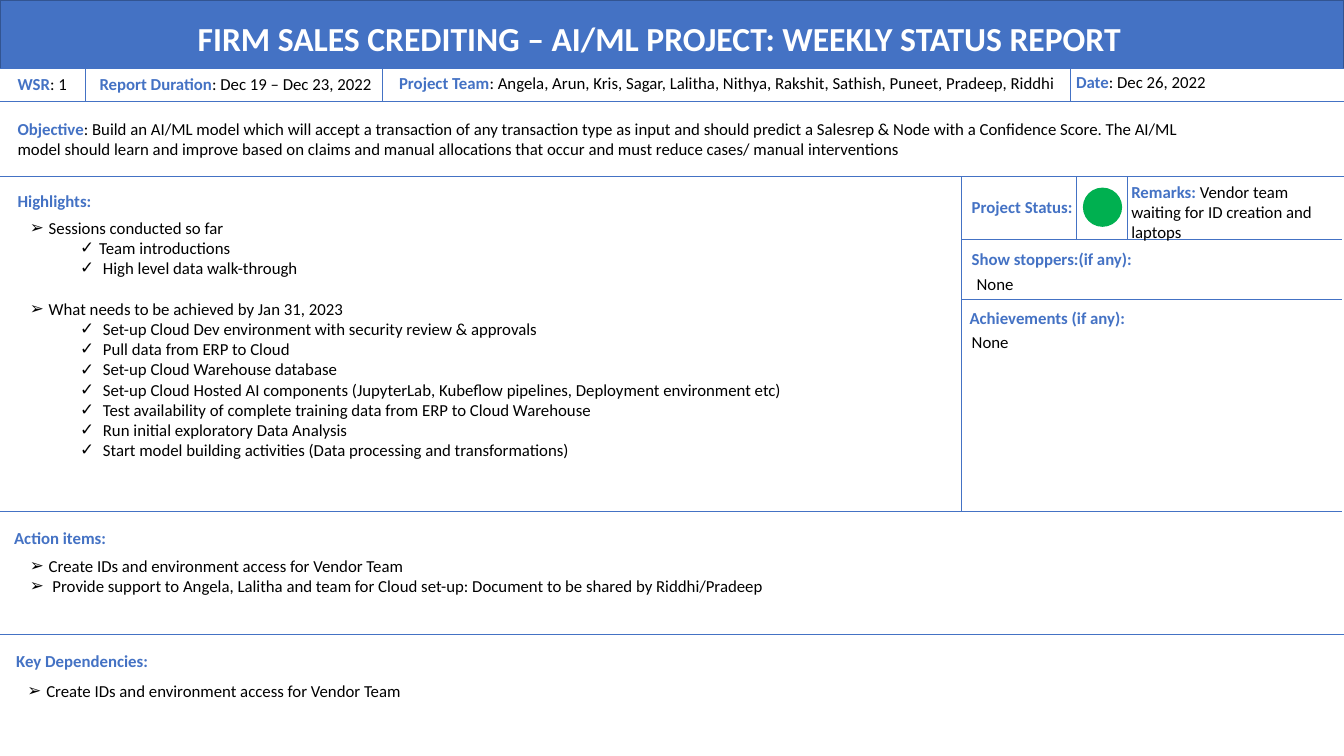
from lxml import etree
from pptx import Presentation
from pptx.dml.color import RGBColor
from pptx.enum import shapes, text
from pptx.oxml import ns
from pptx.util import Pt

BLUE = RGBColor(0x44, 0x72, 0xC4)
NAVY = RGBColor(0x32, 0x54, 0x91)
GREEN = RGBColor(0x00, 0xB0, 0x50)
BLACK = RGBColor(0, 0, 0)
WHITE = RGBColor(0xFF, 0xFF, 0xFF)

W, H = 960, 540
LINE_H = 14.65
ARROW, CHECK = "\u27a2", "\u2713"
INDENT = {ARROW: 13.5, CHECK: 49.5}

# Dividers: x1, y1, x2, y2
RULES = [
    (0, 49, W, 49), (0, 72.5, W, 72.5), (0, 126, W, 126),
    (-1.5, 365, 958.5, 365), (0, 453, W, 453),
    (687, 171.25, 958.5, 171.25), (687, 214, 958.5, 214),
    (61, 49, 61, 72.5), (273, 49, 273, 72.5), (764.5, 49, 764.5, 72.5),
    (687, 126, 687, 365), (769, 126, 769, 171.25), (805, 126, 805, 171.25),
]

# Fields: x, y, width, height, wrap, blue label, black value
FIELDS = [
    (5.5, 49, 50.5, 22, False, "WSR", ": 1"),
    (64, 49, 212, 22, False, "Report Duration", ": Dec 19 – Dec 23, 2022"),
    (278, 48.5, 484.5, 22, False, "Project Team",
     ": Angela, Arun, Kris, Sagar, Lalitha, Nithya, Rakshit, Sathish, "
     "Puneet, Pradeep, Riddhi"),
    (761.5, 47.75, 109, 22, False, "Date", ": Dec 26, 2022"),
    (5.5, 81.25, 852.5, 36, True, "Objective",
     ": Build an AI/ML model which will accept a transaction of any "
     "transaction type as input and should predict a Salesrep & Node with a "
     "Confidence Score. The AI/ML model should learn and improve based on "
     "claims and manual allocations that occur and must reduce cases/ manual "
     "interventions"),
    (5.5, 132.75, 71.5, 22, False, "Highlights: ", ""),
    (3, 373.25, 83.5, 22, False, "Action items: ", ""),
    (4.5, 461.25, 109.5, 22, False, "Key Dependencies:", ""),
    (687, 137, 90, 22, False, "Project Status: ", ""),
    (801, 126, 157.5, 51, True, "Remarks: ",
     "Vendor team waiting for ID creation and laptops"),
    (687, 174.25, 132.5, 22, False, "Show stoppers:(if any): ", ""),
    (690.5, 192.25, 245, 22, True, "", "None"),
    (685.5, 216.5, 129.5, 22, False, "Achievements (if any): ", ""),
    (687, 233.5, 245, 22, True, "", "None"),
]

# Bullet lists: x, y, width, height, [(bullet, text)]
LISTS = [
    (14.25, 152, 667.5, 196.5, [
        (ARROW, "Sessions conducted so far"),
        (CHECK, "Team introductions"),
        (CHECK, " High level data walk-through"),
        (ARROW, "What needs to be achieved by Jan 31, 2023"),
        (CHECK, " Set-up Cloud Dev environment with security review & "
                "approvals"),
        (CHECK, " Pull data from ERP to Cloud"),
        (CHECK, " Set-up Cloud Warehouse database"),
        (CHECK, " Set-up Cloud Hosted AI components (JupyterLab, Kubeflow "
                "pipelines, Deployment environment etc)"),
        (CHECK, " Test availability of complete training data from ERP to "
                "Cloud Warehouse"),
        (CHECK, " Run initial exploratory Data Analysis"),
        (CHECK, " Start model building activities (Data processing and "
                "transformations)"),
    ]),
    (14.25, 393.25, 852.5, 36, [
        (ARROW, "Create IDs and environment access for Vendor Team"),
        (ARROW, " Provide support to Angela, Lalitha and team for Cloud "
                "set-up: Document to be shared by Riddhi/Pradeep"),
    ]),
    (12.5, 483, 852.5, 22, [
        (ARROW, "Create IDs and environment access for Vendor Team"),
    ]),
]


def add_run(p, words, color, size=12, bold=False):
    """Append a formatted run to a paragraph."""
    r = p.add_run()
    r.text = words
    r.font.color.rgb = color
    for name, value in {"name": "Calibri", "size": Pt(size),
                        "bold": bold}.items():
        setattr(r.font, name, value)


def add_box(s, x, y, w, h, wrap):
    """Add a text box and return its text frame."""
    tf = s.shapes.add_textbox(Pt(x), Pt(y), Pt(w), Pt(h)).text_frame
    tf.word_wrap = wrap
    return tf


def add_field(s, x, y, w, h, wrap, label, value):
    """Add a bold blue label followed by a plain value."""
    p = add_box(s, x, y, w, h, wrap).paragraphs[0]
    if label:
        add_run(p, label, BLUE, bold=True)
    if value:
        add_run(p, value, BLACK)


def set_bullet(p, mark):
    """Give a paragraph a hanging bullet."""
    pPr = p._p.get_or_add_pPr()
    pPr.set("marL", str(Pt(INDENT[mark])))
    pPr.set("indent", str(-Pt(INDENT[ARROW])))
    etree.SubElement(pPr, ns.qn("a:buFont")).set("typeface", "Arial")
    etree.SubElement(pPr, ns.qn("a:buChar")).set("char", mark)


def add_list(s, x, y, w, h, items):
    """Add a bullet list, with a blank line's gap before later groups."""
    tf = add_box(s, x, y, w, h, True)
    previous = None
    for mark, words in items:
        p = tf.add_paragraph() if previous else tf.paragraphs[0]
        if mark == ARROW and previous == CHECK:
            p.space_before = Pt(LINE_H)
        set_bullet(p, mark)
        add_run(p, words, BLACK)
        previous = mark


def add_rule(s, x1, y1, x2, y2):
    """Add a thin divider line without shadow."""
    c = s.shapes.add_connector(shapes.MSO_CONNECTOR.STRAIGHT,
                               Pt(x1), Pt(y1), Pt(x2), Pt(y2))
    c.line.color.rgb = BLUE
    c.line.width = Pt(0.5)
    etree.SubElement(c._element.spPr, ns.qn("a:effectLst"))


def add_solid(s, kind, x, y, w, h, fill, line):
    """Add a filled preset shape without shadow."""
    sp = s.shapes.add_shape(kind, Pt(x), Pt(y), Pt(w), Pt(h))
    sp.shadow.inherit = False
    sp.fill.solid()
    sp.fill.fore_color.rgb = fill
    sp.line.color.rgb = line
    sp.line.width = Pt(1)
    return sp


def add_title(s, words):
    """Place the title in front of its blue band."""
    title = s.shapes.title
    band = add_solid(s, shapes.MSO_SHAPE.RECTANGLE, 0, 0, W, 49, BLUE, NAVY)
    title._element.addprevious(band._element)
    for name, value in {"left": 111, "top": 9.5, "width": 720,
                        "height": 36}.items():
        setattr(title, name, Pt(value))
    tf = title.text_frame
    for name, value in {"word_wrap": False,
                        "auto_size": text.MSO_AUTO_SIZE.NONE,
                        "vertical_anchor": text.MSO_ANCHOR.MIDDLE}.items():
        setattr(tf, name, value)
    p = tf.paragraphs[0]
    p.alignment = text.PP_ALIGN.CENTER
    add_run(p, words, WHITE, size=24, bold=True)


def main():
    """Build the weekly status report slide."""
    prs = Presentation()
    prs.slide_width, prs.slide_height = Pt(W), Pt(H)
    s = prs.slides.add_slide(prs.slide_layouts[5])
    add_title(s, "FIRM SALES CREDITING – AI/ML PROJECT: WEEKLY STATUS REPORT")
    for rule in RULES:
        add_rule(s, *rule)
    for field in FIELDS:
        add_field(s, *field)
    for bullets in LISTS:
        add_list(s, *bullets)
    add_solid(s, shapes.MSO_SHAPE.OVAL, 774, 134.5, 27, 27, GREEN, GREEN)
    prs.save("out.pptx")


main()
